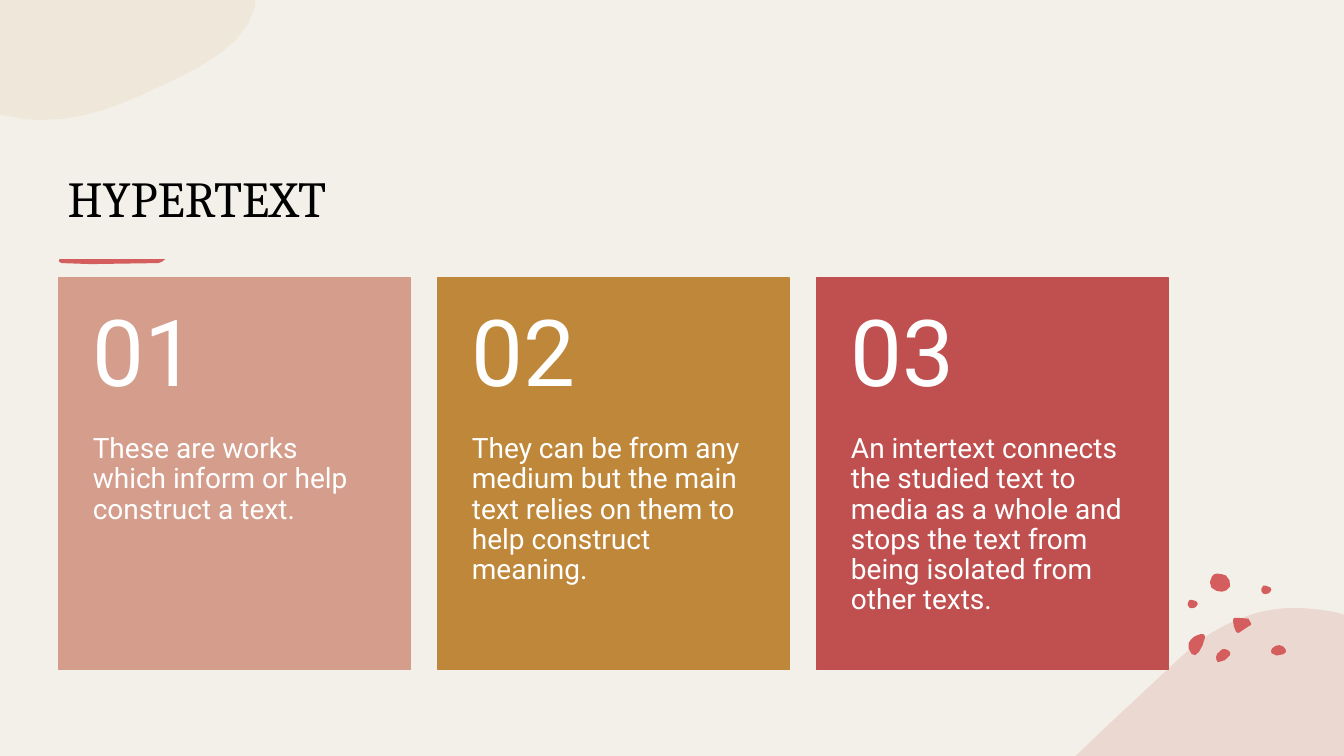
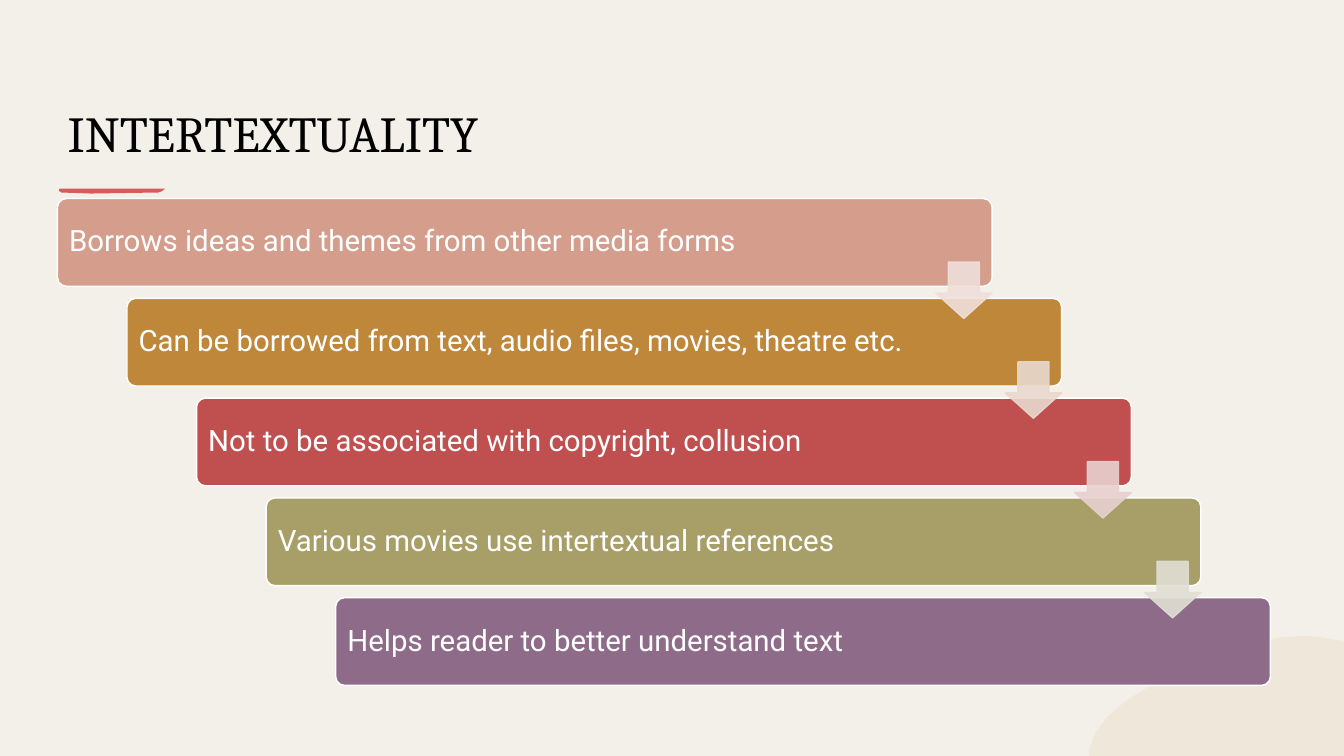
import lxml.etree
import pptx
import pptx.dml.color
import pptx.enum.shapes
import pptx.enum.text
import pptx.oxml.ns
import pptx.util

Inches = pptx.util.Inches
Pt = pptx.util.Pt
SHAPE = pptx.enum.shapes.MSO_SHAPE
ANCHOR = pptx.enum.text.MSO_ANCHOR
ALIGN = pptx.enum.text.PP_ALIGN

WIDTH, HEIGHT = 13.33, 7.5
CREAM, WHITE, BLACK, RED = "F3F0E9", "FFFFFF", "000000", "D45E5E"
SAND, BLUSH = "E7CFAF", "E5C4BA"
ROSE, OCHRE, BRICK, OLIVE, PLUM = "D49D8C", "BF873A", "C05050", "A89F68", "8F6B8A"

TITLE_FONT = {"name": "Cambria", "size": Pt(36), "color": BLACK}
NUMBER_FONT = {"name": "Roboto", "size": Pt(66), "color": WHITE}
CARD_FONT = {"name": "Roboto", "size": Pt(20), "color": WHITE}
STEP_FONT = {"name": "Roboto", "size": Pt(21), "color": WHITE}

CARDS = [
    ("01", "These are works which inform or help construct a text.", ROSE),
    ("02", "They can be from any medium but the main text relies on them to help "
           "construct meaning.", OCHRE),
    ("03", "An intertext connects the studied text to media as a whole and stops the "
           "text from being isolated from other texts.", BRICK),
]
STEPS = [
    ("Borrows ideas and themes from other media forms", ROSE),
    ("Can be borrowed from text, audio files, movies, theatre etc.", OCHRE),
    ("Not to be associated with copyright, collusion", BRICK),
    ("Various movies use intertextual references", OLIVE),
    ("Helps reader to better understand text", PLUM),
]
ARROWS = ["EFDFDA", "E8D9CE", "E8D0D0", "E1DFD4"]

BRUSH_STROKE = [(0.59, 0), (1.64, 0), (1.6, 0.02, 1.61, 0.04, 1.57, 0.04),
                (0.9, 0.05), (0.61, 0.04), (0.58, 0.04, 0.58, 0.01, 0.59, 0)]
SAND_BLOB = [(0, 0), (2.53, 0), (2.53, 0.06), (2.45, 0.44, 2, 0.67, 1.58, 0.86),
             (1.23, 1.03, 0.86, 1.19, 0.41, 1.19), (0.31, 1.19, 0.22, 1.18, 0.13, 1.16),
             (0, 1.14)]
BLUSH_HILL = [(12.88, 6.03), (13.01, 6.04, 13.14, 6.05, 13.27, 6.08), (13.33, 6.1),
              (13.33, 7.5), (10.67, 7.5), (10.68, 7.49),
              (11.02, 7.16, 11.37, 6.84, 11.69, 6.54),
              (11.91, 6.32, 12.14, 6.19, 12.37, 6.11),
              (12.54, 6.05, 12.71, 6.03, 12.88, 6.03)]
PEBBLE = [(12.51, 5.86), (12.51, 5.86, 12.51, 5.82, 12.53, 5.81),
          (12.55, 5.81, 12.56, 5.81, 12.58, 5.82), (12.59, 5.82, 12.61, 5.83, 12.61, 5.85),
          (12.61, 5.86, 12.6, 5.87, 12.59, 5.88), (12.59, 5.88, 12.59, 5.89, 12.57, 5.89),
          (12.56, 5.89, 12.54, 5.9, 12.53, 5.89), (12.52, 5.87, 12.51, 5.87, 12.51, 5.86)]
SPECKS = [
    [(12.13, 6.44), (12.15, 6.44, 12.16, 6.44, 12.18, 6.45),
     (12.2, 6.46, 12.21, 6.48, 12.2, 6.5), (12.18, 6.53, 12.12, 6.58, 12.08, 6.57),
     (12.07, 6.56, 12.06, 6.54, 12.06, 6.52), (12.06, 6.5, 12.08, 6.47, 12.1, 6.46),
     (12.11, 6.45, 12.12, 6.44, 12.13, 6.44)],
    [(11.91, 6.29), (11.93, 6.29, 11.95, 6.29, 11.95, 6.31), (11.95, 6.33),
     (11.94, 6.38, 11.92, 6.43, 11.89, 6.47), (11.87, 6.49, 11.84, 6.52, 11.82, 6.49),
     (11.79, 6.46, 11.78, 6.41, 11.79, 6.38), (11.8, 6.35, 11.82, 6.34, 11.84, 6.32),
     (11.85, 6.32, 11.88, 6.29, 11.91, 6.29)],
    [(12.69, 6.4), (12.71, 6.4, 12.74, 6.42, 12.75, 6.44),
     (12.76, 6.46, 12.76, 6.48, 12.73, 6.49), (12.7, 6.51, 12.62, 6.51, 12.61, 6.48),
     (12.6, 6.46, 12.61, 6.44, 12.62, 6.43), (12.64, 6.41, 12.66, 6.4, 12.69, 6.4)],
    [(12.01, 5.81), (12, 5.81, 11.99, 5.75, 12.02, 5.72),
     (12.04, 5.7, 12.04, 5.69, 12.07, 5.69), (12.1, 5.69, 12.14, 5.7, 12.16, 5.71),
     (12.18, 5.73, 12.22, 5.78, 12.2, 5.82), (12.17, 5.85, 12.16, 5.87, 12.12, 5.87),
     (12.09, 5.87, 12.04, 5.86, 12.03, 5.84), (12.01, 5.83, 12.01, 5.82, 12.01, 5.81)],
    PEBBLE,
    [tuple(value + (0.14 if index % 2 else -0.73) for index, value in enumerate(part))
     for part in PEBBLE],
    [(12.28, 6.13), (12.34, 6.13, 12.45, 6.13, 12.41, 6.19),
     (12.41, 6.2, 12.4, 6.21, 12.39, 6.21), (12.36, 6.23, 12.33, 6.25, 12.3, 6.27),
     (12.29, 6.28, 12.28, 6.29, 12.26, 6.27), (12.24, 6.23, 12.23, 6.2, 12.23, 6.16),
     (12.23, 6.15, 12.23, 6.14, 12.24, 6.13)],
]


def color(value):
    return pptx.dml.color.RGBColor.from_string(value)


def paint(shape, fill, line=None, opacity=100):
    shape.shadow.inherit = False
    shape.fill.solid()
    shape.fill.fore_color.rgb = color(fill)
    if line:
        shape.line.color.rgb = color(line)
        shape.line.width = Pt(1)
    else:
        shape.line.fill.background()
    if opacity < 100:
        for tone in list(shape.element.spPr.iter(pptx.oxml.ns.qn("a:srgbClr"))):
            alpha = lxml.etree.SubElement(tone, pptx.oxml.ns.qn("a:alpha"))
            alpha.set("val", str(opacity * 1000))


def write(shape, text, font, anchor, insets=(0.1, 0.05, 0.1, 0.05), spacing=0.9):
    frame = shape.text_frame
    frame.word_wrap = True
    frame.auto_size = pptx.enum.text.MSO_AUTO_SIZE.NONE
    frame.vertical_anchor = anchor
    for side, inset in zip(("left", "top", "right", "bottom"), insets):
        setattr(frame, "margin_" + side, Inches(inset))
    para = frame.paragraphs[0]
    para.alignment = ALIGN.LEFT
    para.line_spacing = spacing
    span = para.add_run()
    span.text = text
    for key, value in font.items():
        if key == "color":
            span.font.color.rgb = color(value)
        else:
            setattr(span.font, key, value)


def add_block(page, kind, left, top, width, height):
    return page.shapes.add_shape(kind, Inches(left), Inches(top), Inches(width), Inches(height))


def add_text(page, left, top, width, height, *content):
    box = page.shapes.add_textbox(Inches(left), Inches(top), Inches(width), Inches(height))
    write(box, *content)


def flatten(outline, steps):
    points = [outline[0]]
    for part in outline[1:]:
        if len(part) == 2:
            points.append(part)
            continue
        controls = [points[-1], part[:2], part[2:4], part[4:]]
        for step in range(1, steps + 1):
            t = step / steps
            weights = ((1 - t) ** 3, 3 * t * (1 - t) ** 2, 3 * t * t * (1 - t), t ** 3)
            points.append(tuple(sum(w * point[axis] for w, point in zip(weights, controls))
                                for axis in (0, 1)))
    return points


def add_outline(page, outline, fill, opacity=100, shift=0, turned=False, steps=2):
    points = [(x, y + shift) for x, y in flatten(outline, steps)]
    if turned:
        points = [(WIDTH - x, HEIGHT - y) for x, y in points]
    points = [(Inches(x), Inches(y)) for x, y in points]
    builder = page.shapes.build_freeform(*points[0])
    builder.add_line_segments(points[1:], close=True)
    paint(builder.convert_to_shape(), fill, opacity=opacity)


def add_page(deck, title, top, height, stroke_top, blob_turned):
    page = deck.slides.add_slide(deck.slide_layouts[5])
    add_outline(page, SAND_BLOB, SAND, opacity=25, turned=blob_turned, steps=6)
    heading = page.shapes.title
    place = {"left": 0.57, "top": top, "width": 11.02, "height": height}
    for key, value in place.items():
        setattr(heading, key, Inches(value))
    write(heading, title, TITLE_FONT, ANCHOR.BOTTOM, spacing=1.0)
    add_outline(page, BRUSH_STROKE, RED, shift=stroke_top)
    return page


def build_hypertext(deck):
    page = add_page(deck, "HYPERTEXT", 0.86, 1.45, 2.57, False)
    add_outline(page, BLUSH_HILL, BLUSH, opacity=50, steps=6)
    for speck in SPECKS:
        add_outline(page, speck, RED)
    top, width, height, number_height, pitch = 2.76, 3.49, 3.88, 1.55, 3.76
    for index, (number, text, fill) in enumerate(CARDS):
        left = 0.58 + index * pitch
        paint(add_block(page, SHAPE.RECTANGLE, left, top, width, height), fill, fill)
        add_text(page, left, top + number_height, width, height - number_height,
                 text, CARD_FONT, ANCHOR.TOP, (0.34, 0, 0.34, 0.36))
        add_text(page, left, top, width, number_height,
                 number, NUMBER_FONT, ANCHOR.MIDDLE, (0.34, 0.18, 0.34, 0.18))


def build_intertextuality(deck):
    page = add_page(deck, "INTERTEXTUALITY", 0.76, 0.9, 1.87, True)
    step_right, step_down = 0.69, 0.99
    for index, (text, fill) in enumerate(STEPS):
        bar = add_block(page, SHAPE.ROUNDED_RECTANGLE, 0.57 + index * step_right,
                        1.97 + index * step_down, 9.27, 0.87)
        bar.adjustments[0] = 0.1
        paint(bar, fill, WHITE)
        write(bar, text, STEP_FONT, ANCHOR.MIDDLE, (0.09, 0.09, 0.09, 0.09))
    for index, fill in enumerate(ARROWS):
        arrow = add_block(page, SHAPE.DOWN_ARROW, 9.28 + index * step_right,
                          2.6 + index * step_down, 0.56, 0.56)
        arrow.adjustments[0] = 0.55
        arrow.adjustments[1] = 0.45
        paint(arrow, fill, fill, opacity=90)


def main():
    deck = pptx.Presentation()
    deck.slide_width = Inches(WIDTH)
    deck.slide_height = Inches(HEIGHT)
    backdrop = deck.slide_master.background.fill
    backdrop.solid()
    backdrop.fore_color.rgb = color(CREAM)
    build_hypertext(deck)
    build_intertextuality(deck)
    deck.save("out.pptx")


if __name__ == "__main__":
    main()
